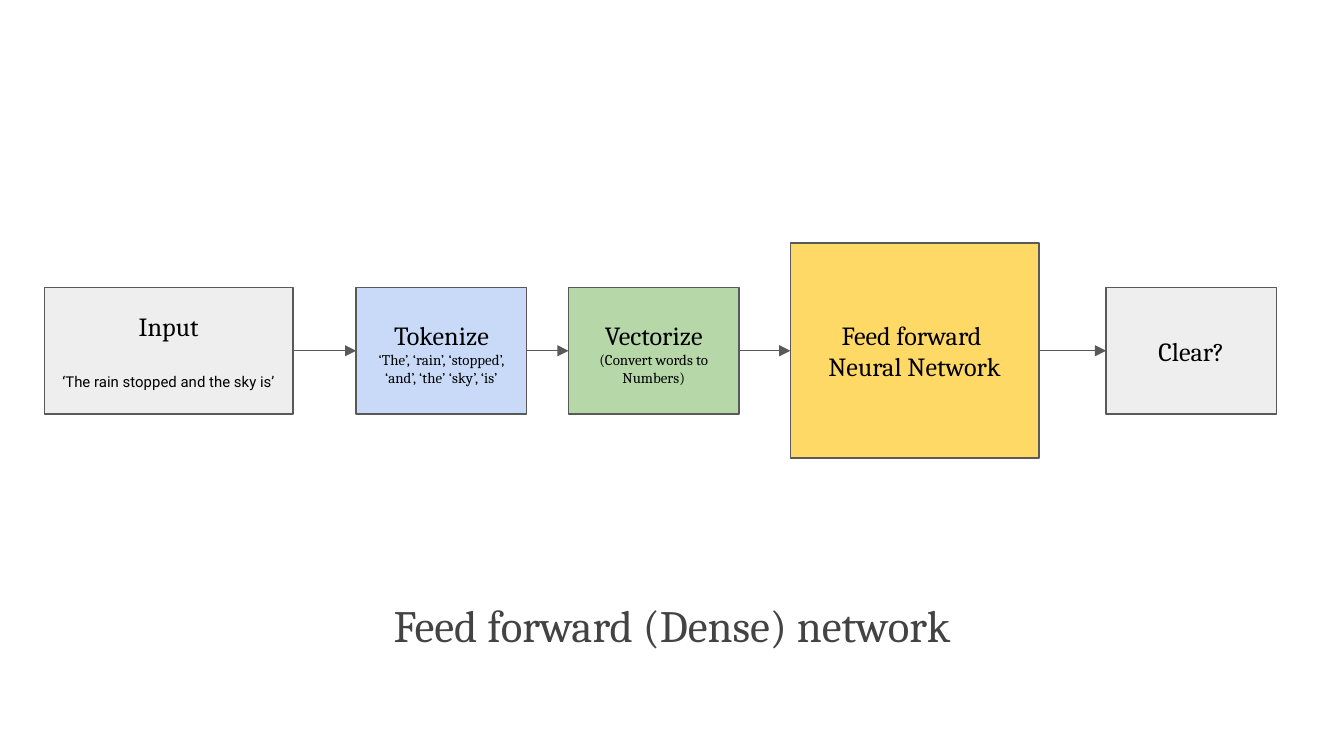
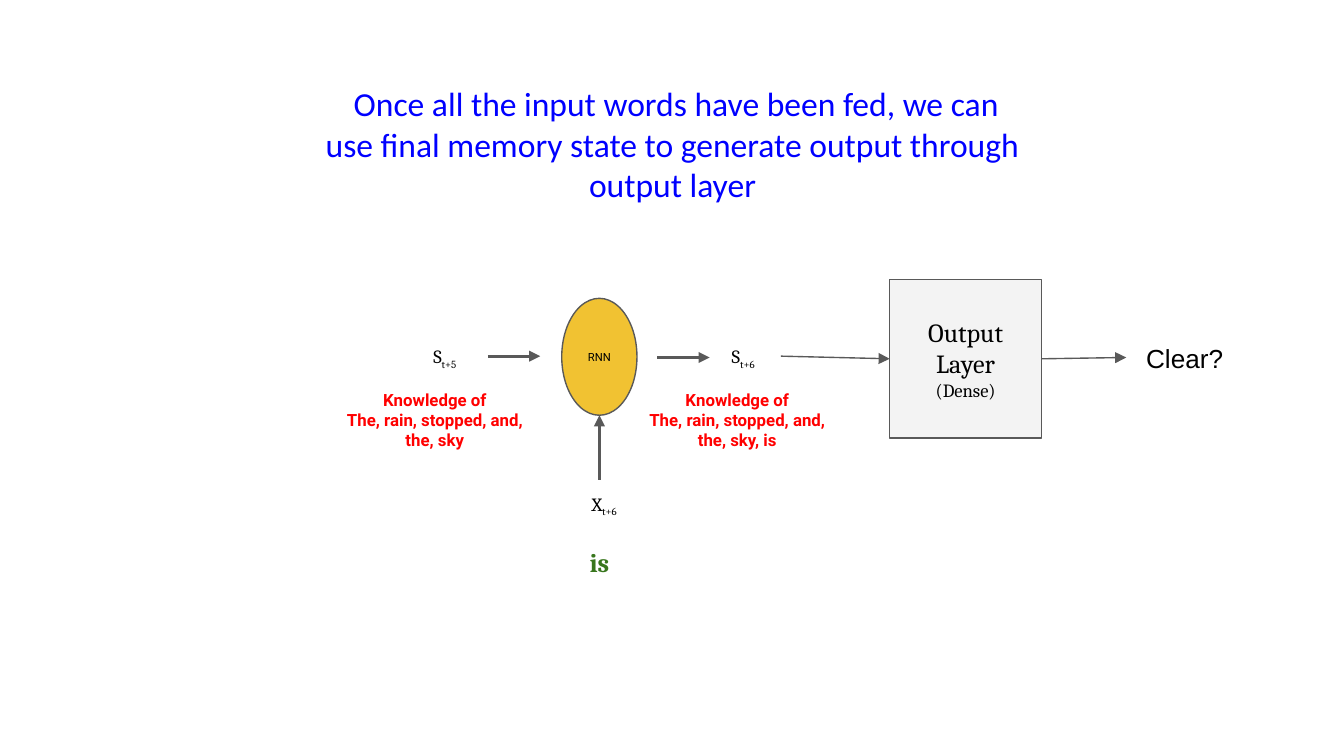
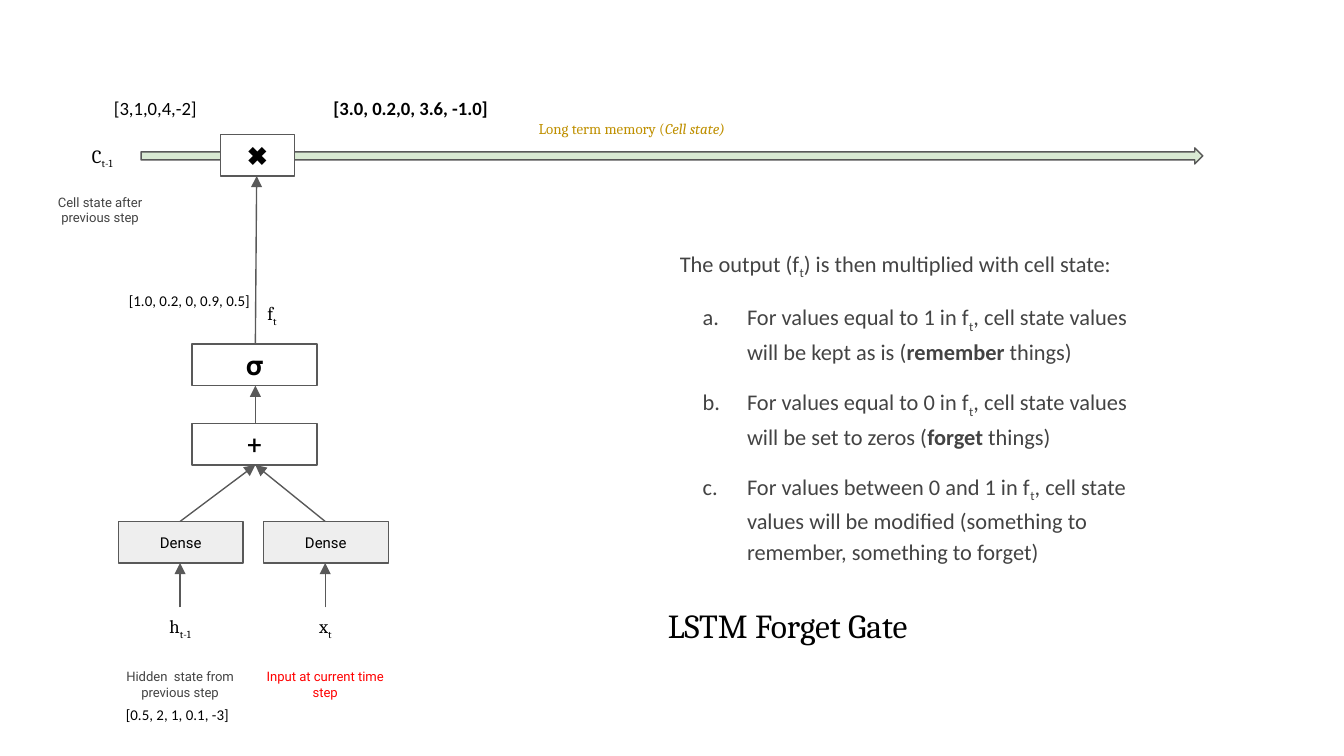
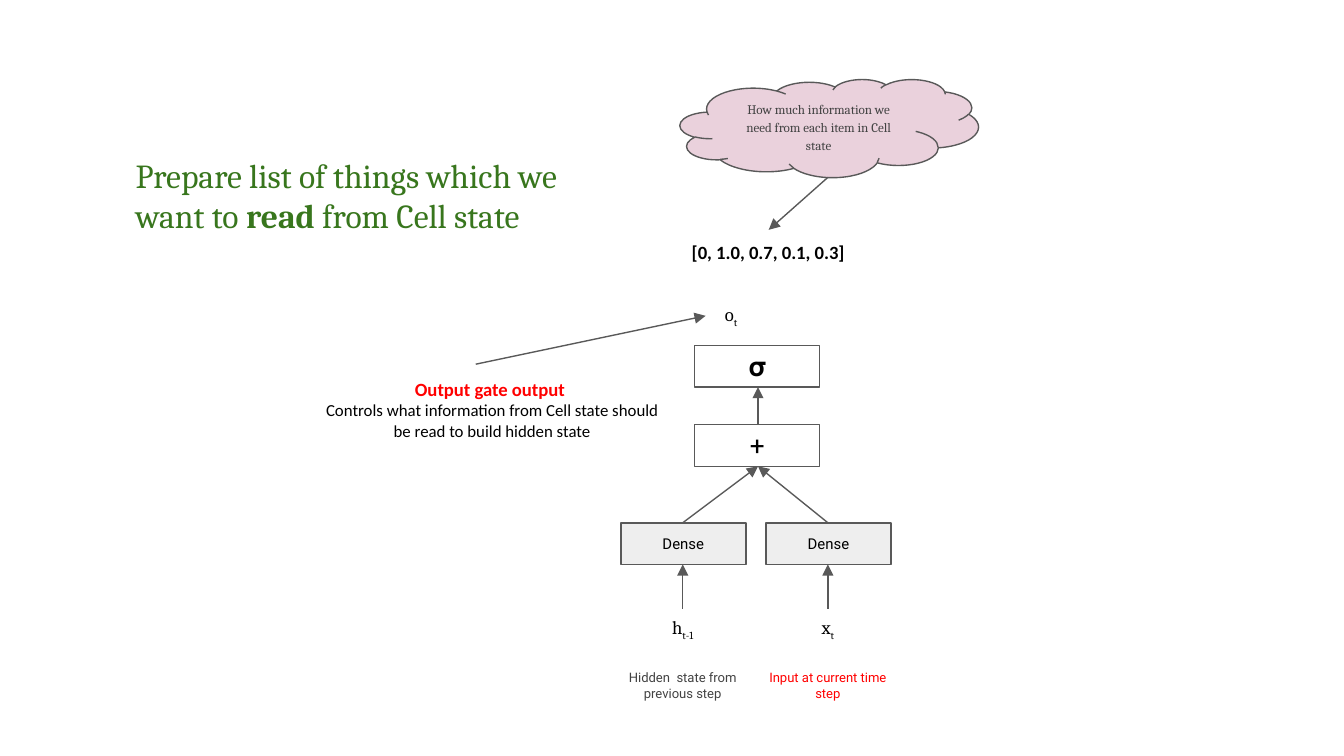
from lxml import etree
from pptx import Presentation
from pptx.dml.color import RGBColor
from pptx.enum import shapes, text
from pptx.oxml.ns import qn
from pptx.util import Inches, Pt

INK, GREY, EDGE = "000000", "434343", "595959"
RED, GREEN, BLUE, GOLD = "FF0000", "38761D", "0000FF", "BF9000"
PALE = "EEEEEE"
RECT = shapes.MSO_SHAPE.RECTANGLE
MID, TOP = text.MSO_ANCHOR.MIDDLE, text.MSO_ANCHOR.TOP
MIDDLE, LEFT = text.PP_ALIGN.CENTER, text.PP_ALIGN.LEFT
SUB, BOLD = {"base": -25}, {"bold": True}


def box(slide, at, paras, font="Cambria", size=10, color=INK, kind=None,
        fill=None, anchor=MID, align=MIDDLE, **style):
    """Add a text box, or an outlined shape if kind is given.

    A paragraph is a list of runs; a run is a string or (string, format).
    """
    at = [Inches(n) for n in at]
    if kind is None:
        shape = slide.shapes.add_textbox(*at)
    else:
        shape = slide.shapes.add_shape(kind, *at)
        shape.shadow.inherit = False
        shape.line.color.rgb = RGBColor.from_string(EDGE)
        shape.line.width = Pt(0.75)
        if fill:
            shape.fill.solid()
            shape.fill.fore_color.rgb = RGBColor.from_string(fill)
        else:
            shape.fill.background()
    frame = shape.text_frame
    frame.word_wrap = True
    frame.vertical_anchor = anchor
    for side in ("left", "right", "top", "bottom"):
        setattr(frame, f"margin_{side}", Inches(0.1))
    for i, runs in enumerate(paras):
        para = frame.paragraphs[0] if i == 0 else frame.add_paragraph()
        para.alignment = align
        for item in runs:
            words, extra = (item, {}) if isinstance(item, str) else item
            look = {"name": font, "size": size, "color": color, **style, **extra}
            run = para.add_run()
            run.text = words
            for key, value in look.items():
                if key == "color":
                    run.font.color.rgb = RGBColor.from_string(value)
                elif key == "base":
                    run.font._element.set("baseline", str(value * 1000))
                else:
                    setattr(run.font, key, Pt(value) if key == "size" else value)
    return shape


def arrow(slide, x1, y1, x2, y2, width=0.75):
    line = slide.shapes.add_connector(
        shapes.MSO_CONNECTOR.STRAIGHT, *[Inches(n) for n in (x1, y1, x2, y2)])
    line.line.color.rgb = RGBColor.from_string(EDGE)
    line.line.width = Pt(width)
    etree.SubElement(line.line._get_or_add_ln(), qn("a:tailEnd"), type="triangle")
    etree.SubElement(line._element.spPr, qn("a:effectLst"))


prs = Presentation()
prs.slide_width = Inches(10)
prs.slide_height = prs.slide_width * 9 // 16
dense, rnn, forget, output = [
    prs.slides.add_slide(prs.slide_layouts[6]) for _ in range(4)]

# Feed forward network: a row of steps on one axis
axis = 2.61
small = {"size": 8}
steps = [
    (0.33, 1.85, 0.94, PALE,
     [["Input"], [("‘The rain stopped and the sky is’", {"size": 8, "name": "Roboto"})]]),
    (2.65, 1.27, 0.94, "C9DAF8",
     [["Tokenize"], [("‘The’, ‘rain’, ‘stopped’, ‘and’, ‘the’ ‘sky’, ‘is’", small)]]),
    (4.23, 1.27, 0.94, "B6D7A8",
     [["Vectorize"], [("(Convert words to Numbers)", small)]]),
    (5.88, 1.85, 1.6, "FFD966", [["Feed forward "], ["Neural Network"]]),
    (8.23, 1.27, 0.94, PALE, [["Clear?"]]),
]
row = [box(dense, (x, axis - h / 2, w, h), paras, size=14, kind=RECT, fill=fill)
       for x, w, h, fill, paras in steps]
row[0].text_frame.paragraphs[1].space_before = Pt(16.4)
for step in row[1:3]:
    step.text_frame.paragraphs[0].line_spacing = 1.15
for (x, w, *_), (after, *_) in zip(steps, steps[1:]):
    arrow(dense, x + w, axis, after, axis)
box(dense, (1.03, 4.41, 7.94, 0.47), [["Feed forward (Dense) network"]],
    size=24, color=GREY)

# Last step of the recurrent network
box(rnn, (2.29, 0.33, 5.43, 1.48),
    [[" Once all the input words have been fed, we can use final memory state "
      "to generate output through output layer"]], "Calibri", 18, BLUE)
for x, y, w, name, step in [(3.03, 2.58, 0.56, "S", "t+5"),
                            (5.25, 2.58, 0.56, "S", "t+6"),
                            (3.87, 3.68, 1.25, "X", "t+6")]:
    box(rnn, (x, y, w, 0.16), [[name, (step, SUB)]])
for x, known in [(2.45, "the, sky"), (4.7, "the, sky, is")]:
    box(rnn, (x, 2.8, 1.57, 0.6),
        [["Knowledge of"], [f"The, rain, stopped, and, {known}"]],
        "Roboto", 9, RED, anchor=TOP, bold=True)
box(rnn, (4.18, 2.22, 0.56, 0.87), [["RNN"]], "Roboto", 6,
    kind=shapes.MSO_SHAPE.OVAL, fill="F1C232")
box(rnn, (4.18, 3.98, 0.56, 0.41), [["is"]], size=14, color=GREEN, bold=True)
box(rnn, (6.62, 2.08, 1.13, 1.18), [["Output Layer"], [("(Dense)", {"size": 10})]],
    size=14, kind=RECT, fill="F3F3F3")
box(rnn, (8.38, 2.48, 0.87, 0.37), [["Clear?"]], "Arial", 14)
for ends in [(3.63, 2.65, 4.02, 2.65), (4.46, 3.57, 4.46, 3.09),
             (4.89, 2.66, 5.28, 2.66)]:
    arrow(rnn, *ends, width=1.5)
arrow(rnn, 5.81, 2.65, 6.62, 2.67)
arrow(rnn, 7.75, 2.67, 8.38, 2.66)

# The gate that both LSTM slides share
for slide, x, y in [(forget, 0.88, 2.56), (output, 4.62, 2.57)]:
    core = x + 1.02
    for sign, top in [("𝛔", y), ("+", y + 0.59)]:
        box(slide, (x + 0.55, top, 0.93, 0.31), [[sign]], "Roboto", 14, kind=RECT)
    arrow(slide, core, y + 0.59, core, y + 0.31)
    for left, name, step, label, color in [
            (x, "h", "t-1", "Hidden  state from previous step", GREY),
            (x + 1.08, "x", "t", "Input at current time step", RED)]:
        mid = left + 0.46
        box(slide, (left, y + 1.32, 0.93, 0.31), [["Dense"]], "Roboto", 8,
            kind=RECT, fill=PALE)
        box(slide, (mid - 0.29, y + 1.96, 0.58, 0.3), [[name, (step, SUB)]])
        box(slide, (mid - 0.55, y + 2.34, 1.1, 0.38), [[label]], "Roboto", 7, color)
        arrow(slide, mid, y + 1.96, mid, y + 1.63)
        arrow(slide, mid, y + 1.32, core, y + 0.9)

# Forget gate
box(forget, (1.05, 1.1, 7.9, 0.12), [],
    kind=shapes.MSO_SHAPE.RIGHT_ARROW, fill="D9EAD3")
box(forget, (1.64, 1, 0.55, 0.31), [["✖"]], "Roboto", 14, kind=RECT, fill="FFFFFF")
arrow(forget, 1.9, 2.56, 1.91, 1.31)
box(forget, (3.91, 0.82, 1.8, 0.27),
    [["Long term memory (", ("Cell state)", {"italic": True})]],
    size=8, color=GOLD, align=LEFT)
box(forget, (0.47, 1.02, 0.58, 0.3), [["C", ("t-1", SUB)]])
box(forget, (0.31, 1.37, 0.87, 0.38), [["Cell state after previous step"]],
    "Roboto", 7, GREY)
box(forget, (1.76, 2.19, 0.53, 0.3), [["f", ("t", SUB)]])
for at, values, size, bold in [
        ((0.63, 5.18, 1.38, 0.41), "[0.5, 2, 1, 0.1, -3]", 8, False),
        ((0.72, 2.1, 1.38, 0.41), "[1.0, 0.2, 0, 0.9, 0.5]", 8, False),
        ((0.58, 0.64, 1.15, 0.41), "[3,1,0,4,-2]", 10, False),
        ((2.25, 0.64, 1.61, 0.41), "[3.0, 0.2,0, 3.6, -1.0]", 10, True)]:
    box(forget, at, [[values]], "Calibri", size, anchor=TOP, bold=bold)
f_t = ("t", SUB)
rules = box(forget, (4.46, 1.55, 4.22, 2.93), [
    ["The output (f", f_t, ") is then multiplied with cell state:"],
    ["For values equal to 1 in f", f_t, ", cell state values will be kept as is (",
     ("remember", BOLD), " things)"],
    ["For values equal to 0 in f", f_t, ", cell state values will be set to zeros (",
     ("forget", BOLD), " things)"],
    ["For values between 0 and 1 in f", f_t, ", cell state values will be modified "
     "(something to remember, something to forget)"],
], "Calibri", 12, GREY, align=LEFT)
for i, para in enumerate(rules.text_frame.paragraphs):
    para.line_spacing = 1.15
    props = para._p.get_or_add_pPr()
    props.set("marL", str(Inches(1 if i else 0.5)))
    props.set("indent", str(Inches(-0.33 if i else 0)))
    if i:
        para.level = 1
        para.space_before = Pt(10)
        tint = etree.SubElement(props, qn("a:buClr"))
        etree.SubElement(tint, qn("a:srgbClr"), val=GREY)
        etree.SubElement(props, qn("a:buAutoNum"), type="alphaLcPeriod")
box(forget, (4.87, 4.4, 3.61, 0.56), [["LSTM Forget Gate"]], size=18,
    anchor=TOP, align=LEFT)

# Output gate
box(output, (0.91, 1.05, 3.61, 0.81),
    [["Prepare list of things which we want to ", ("read", BOLD), " from Cell state"]],
    size=18, color=GREEN, anchor=TOP, align=LEFT)
box(output, (5.25, 2.2, 0.38, 0.3), [["o", ("t", SUB)]])
box(output, (2.3, 2.71, 2.72, 0.69),
    [[("Output gate output ", {"size": 10, "color": RED, "bold": True})],
     ["Controls what information from Cell state should be read to build hidden state"]],
    "Calibri", 9, anchor=TOP)
box(output, (4.91, 1.71, 1.61, 0.43), [["[0, 1.0, 0.7, 0.1, 0.3]"]], "Calibri",
    anchor=TOP, bold=True)
cloud = box(output, (5.06, 0.59, 2.22, 0.73),
            [["How much information we need from each item in Cell state"]],
            size=7, color=GREY, kind=shapes.MSO_SHAPE.CLOUD, fill="EAD1DC")
cloud.text_frame.paragraphs[0].line_spacing = 1.15
arrow(output, 3.54, 2.71, 5.25, 2.35)
arrow(output, 6.16, 1.32, 5.72, 1.71)

prs.save("out.pptx")
